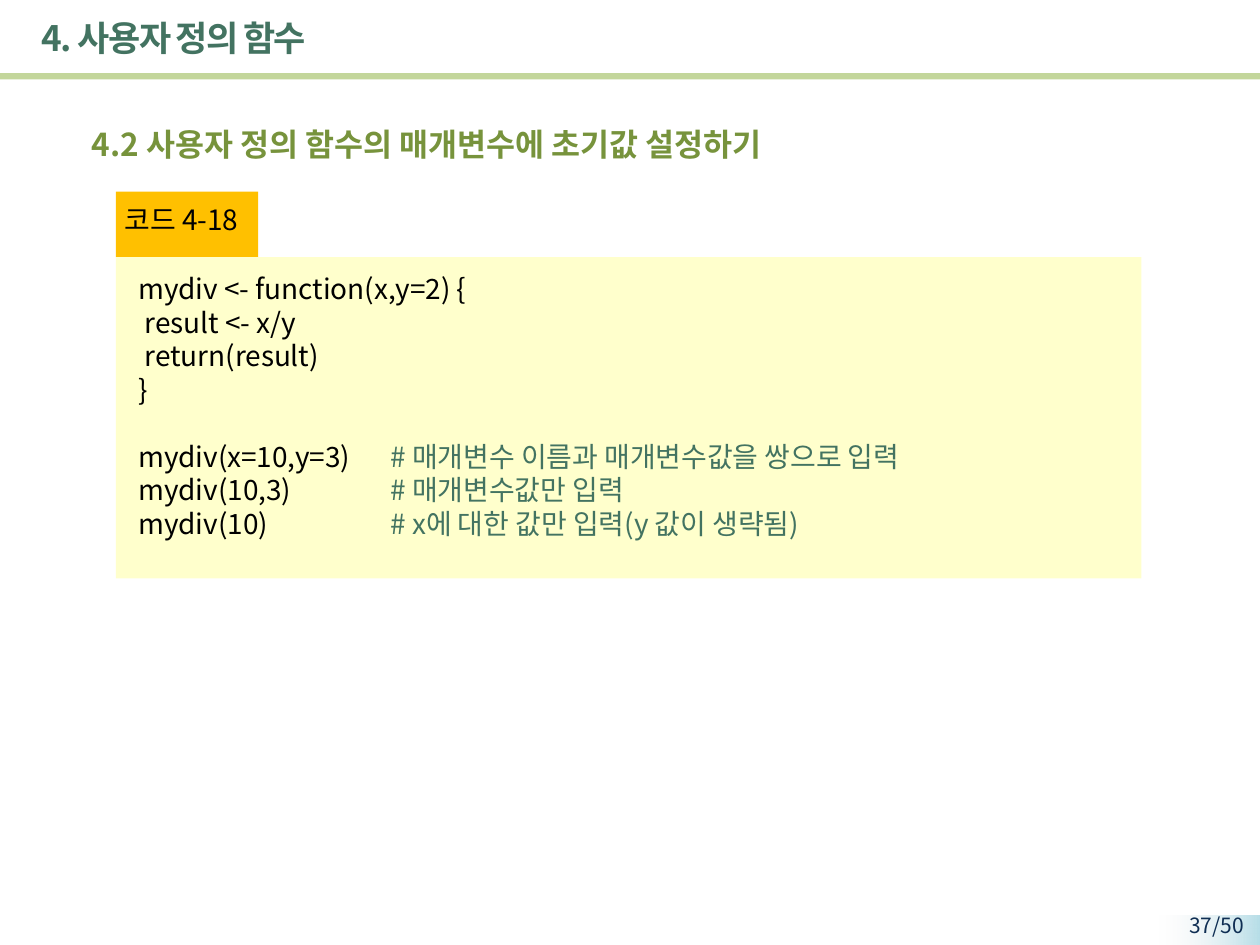
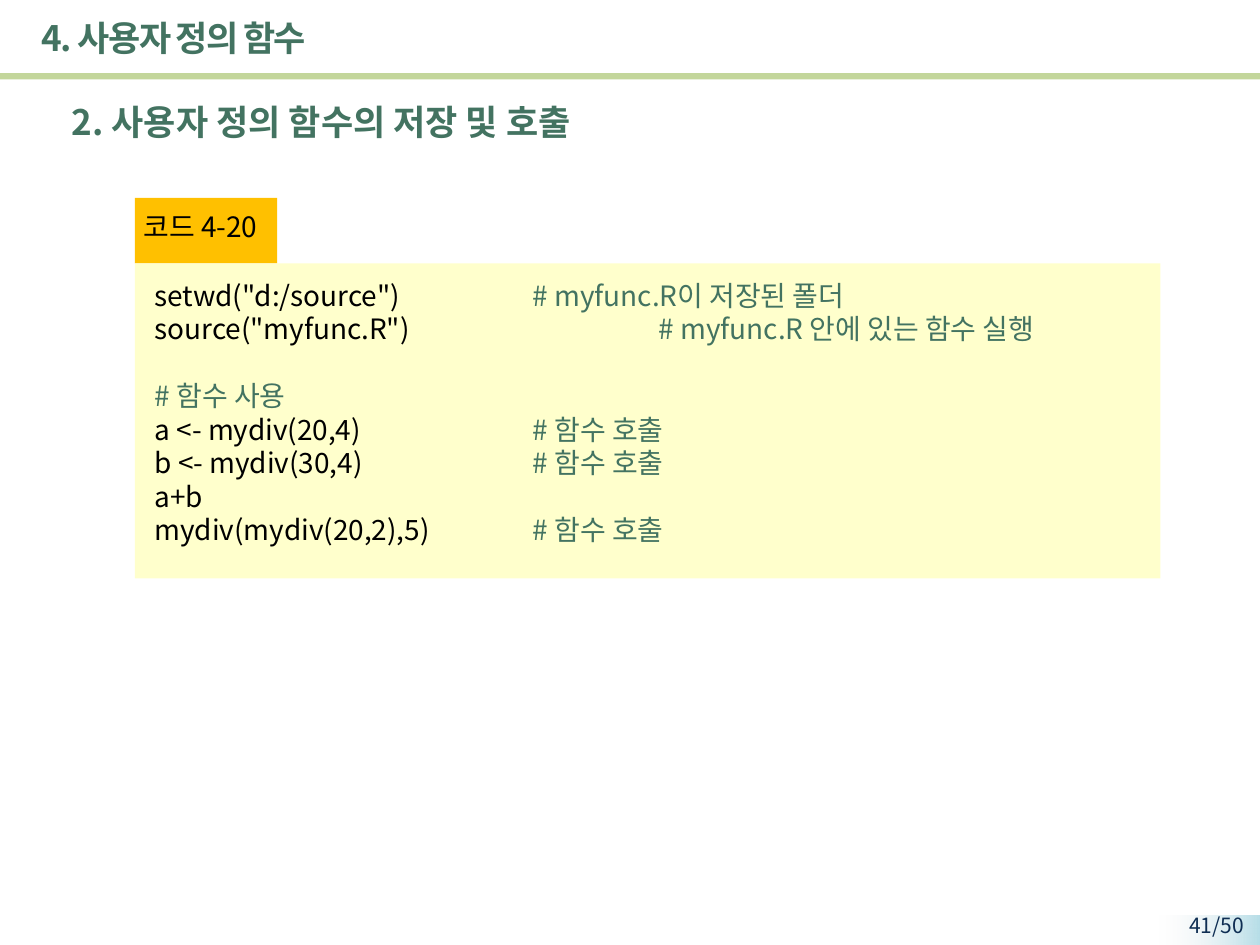
from dataclasses import dataclass

from lxml import etree
from pptx import Presentation
from pptx.dml.color import RGBColor
from pptx.enum.shapes import MSO_SHAPE
from pptx.enum.text import MSO_ANCHOR, PP_ALIGN
from pptx.oxml.ns import qn
from pptx.util import Inches, Pt

RECT = MSO_SHAPE.RECTANGLE
TOP, MIDDLE = MSO_ANCHOR.TOP, MSO_ANCHOR.MIDDLE
LEFT, RIGHT = PP_ALIGN.LEFT, PP_ALIGN.RIGHT


@dataclass(frozen=True)
class Theme:
    font: str = "Noto Sans CJK KR"
    teal: str = "437361"
    olive: str = "77933C"
    rule: str = "C3D69B"
    amber: str = "FFC000"
    cream: str = "FFFFCC"
    black: str = "000000"
    navy: str = "0F2E53"
    fade: tuple = ("B7DEE8", "F2F2F2")
    head: int = 20
    sub: int = 18
    code: int = 16
    page: int = 12
    pitch: float = 19.15


THEME = Theme()
TITLE = "4. 사용자 정의 함수"
TOTAL = 50


def add_rect(slide, box, color=None):
    shape = slide.shapes.add_shape(RECT, *map(Inches, box))
    shape.shadow.inherit = False
    shape.line.fill.background()
    if color:
        shape.fill.solid()
        shape.fill.fore_color.rgb = RGBColor.from_string(color)
    return shape


def add_frame(slide, box, wrap=True, anchor=TOP):
    frame = slide.shapes.add_textbox(*map(Inches, box)).text_frame
    for name, value in {"word_wrap": wrap, "vertical_anchor": anchor}.items():
        setattr(frame, name, value)
    return frame


def add_run(para, text, size, color, bold=False):
    run = para.add_run()
    run.text = text
    form = {"name": THEME.font, "size": Pt(size), "bold": bold}
    for name, value in form.items():
        setattr(run.font, name, value)
    run.font.color.rgb = RGBColor.from_string(color)
    etree.SubElement(run._r.rPr, qn("a:ea"), typeface=THEME.font)
    return run


def add_label(slide, box, text, size, color, bold=False,
              align=LEFT, wrap=True, anchor=TOP):
    para = add_frame(slide, box, wrap, anchor).paragraphs[0]
    para.alignment = align
    return add_run(para, text, size, color, bold)


def set_tab(para, stop):
    tabs = etree.SubElement(para._p.get_or_add_pPr(), qn("a:tabLst"))
    etree.SubElement(tabs, qn("a:tab"), pos=str(Inches(stop)), algn="l")


def add_base(deck, page):
    """Blank slide with the title, rule and page number."""
    slide = deck.slides.add_slide(deck.slide_layouts[6])
    band = add_rect(slide, (9.2, 7.27, 0.8, 0.24))
    band.fill.gradient()
    band.fill.gradient_angle = 180
    for stop, color in zip(band.fill.gradient_stops, THEME.fade):
        stop.color.rgb = RGBColor.from_string(color)
    # The far end of the band fades out
    last = band._element.spPr.findall(".//" + qn("a:srgbClr"))[-1]
    etree.SubElement(last, qn("a:alpha"), val="0")
    add_label(slide, (9.05, 7.19, 0.92, 0.3), f"{page}/{TOTAL}",
              THEME.page, THEME.navy, align=RIGHT)
    add_rect(slide, (0, 0.58, 10, 0.05), THEME.rule)
    title = add_label(slide, (0.23, 0.04, 8.51, 0.52), TITLE, THEME.head,
                      THEME.teal, bold=True, anchor=MIDDLE)
    title._r.rPr.set("spc", "-100")
    return slide


def add_code(slide, left, top, height, name, inset, lines, stop):
    """Name tab over a code panel; a line is (code, note, tab stop)."""
    tab_high = 0.52
    add_rect(slide, (left, top, 1.13, tab_high), THEME.amber)
    panel = top + tab_high
    add_rect(slide, (left, panel, 8.14, height), THEME.cream)
    add_label(slide, (left - 0.03, top + 0.04, 1.2, 0.42), name,
              THEME.code, THEME.black, wrap=False)
    frame = add_frame(slide, (left + inset, panel + 0.07, 7.76, 2.26))
    gap = False
    for line in lines:
        if line is None:
            gap = True
            continue
        code, note, *own = line
        first = not frame.paragraphs[0].runs
        para = frame.paragraphs[0] if first else frame.add_paragraph()
        para.line_spacing = Pt(THEME.pitch)
        para.space_before = Pt(THEME.pitch if gap else 0)
        gap = False
        if code:
            add_run(para, code + ("\t" if note else ""),
                    THEME.code, THEME.black)
        if note:
            add_run(para, note, THEME.code, THEME.teal)
        if code and note:
            set_tab(para, own[0] if own else stop)


def add_default(deck):
    slide = add_base(deck, 37)
    add_label(slide, (0.63, 0.94, 9.1, 0.5),
              "4.2 사용자 정의 함수의 매개변수에 초기값 설정하기",
              THEME.sub, THEME.olive, bold=True)
    lines = [
        ("mydiv <- function(x,y=2) {", ""),
        (" result <- x/y", ""),
        (" return(result)", ""),
        ("}", ""),
        None,
        ("mydiv(x=10,y=3)", "# 매개변수 이름과 매개변수값을 쌍으로 입력"),
        ("mydiv(10,3)", "# 매개변수값만 입력"),
        ("mydiv(10)", "# x에 대한 값만 입력(y 값이 생략됨)"),
    ]
    add_code(slide, 0.92, 1.52, 2.55, "코드 4-18", 0.08, lines, 2)


def add_saving(deck):
    slide = add_base(deck, 41)
    add_label(slide, (0.47, 0.75, 9.35, 0.5),
              "2. 사용자 정의 함수의 저장 및 호출",
              THEME.head, THEME.teal, bold=True)
    call = "# 함수 호출"
    lines = [
        ('setwd("d:/source")', "# myfunc.R이 저장된 폴더"),
        ('source("myfunc.R")', "# myfunc.R 안에 있는 함수 실행", 4),
        None,
        ("", "# 함수 사용"),
        ("a <- mydiv(20,4)", call),
        ("b <- mydiv(30,4)", call),
        ("a+b", ""),
        ("mydiv(mydiv(20,2),5)", call),
    ]
    add_code(slide, 1.07, 1.57, 2.5, "코드 4-20", 0.06, lines, 3)


def main():
    deck = Presentation()
    deck.slide_width, deck.slide_height = Inches(10), Inches(7.5)
    add_default(deck)
    add_saving(deck)
    deck.save("out.pptx")


if __name__ == "__main__":
    main()
